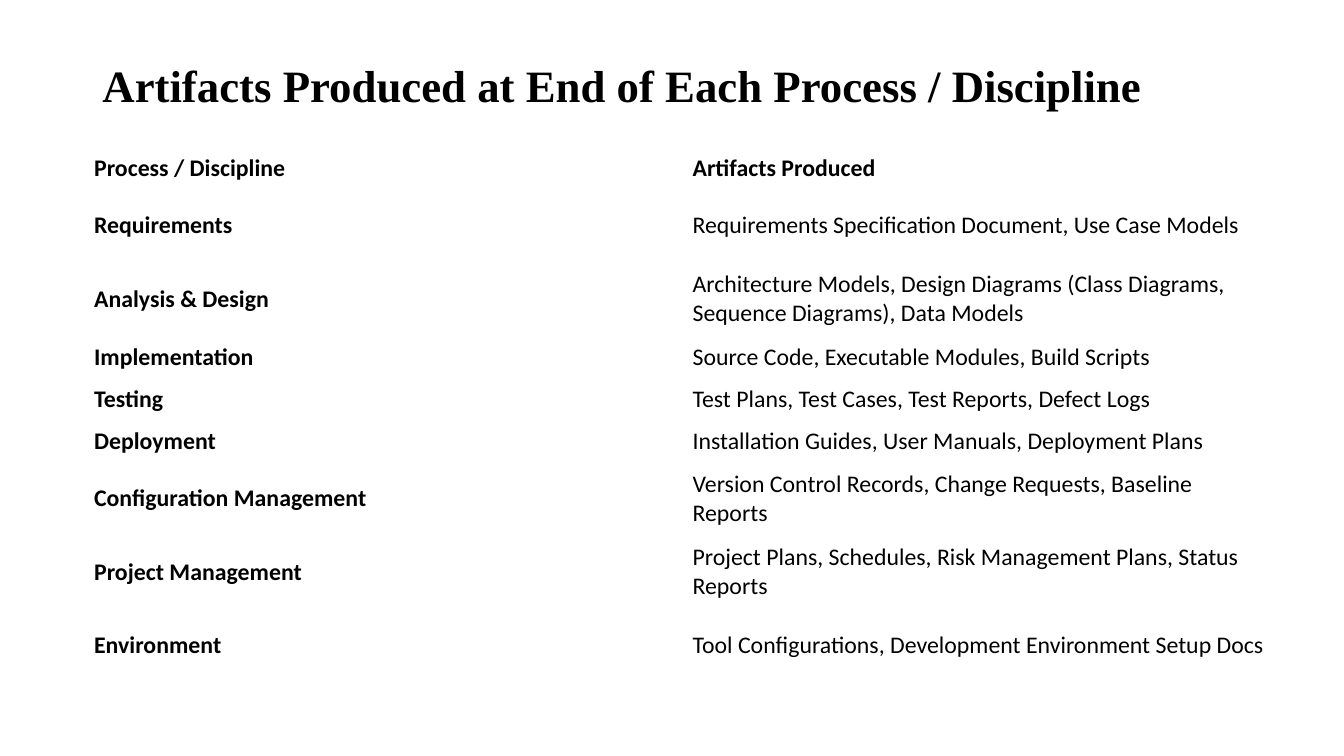
from pptx import Presentation
from pptx import util as u
from pptx.dml import color
from pptx.enum import text

PX = 9525
HUES = {"ink": "000000"}
TALL, LOW = 70, 40
ROWS = [
    (LOW, "Process / Discipline", "Artifacts Produced"),
    (TALL, "Requirements", "Requirements Specification Document, Use Case Models"),
    (TALL, "Analysis & Design", "Architecture Models, Design Diagrams (Class Diagrams, Sequence Diagrams), Data Models"),
    (LOW, "Implementation", "Source Code, Executable Modules, Build Scripts"),
    (LOW, "Testing", "Test Plans, Test Cases, Test Reports, Defect Logs"),
    (LOW, "Deployment", "Installation Guides, User Manuals, Deployment Plans"),
    (TALL, "Configuration Management", "Version Control Records, Change Requests, Baseline Reports"),
    (TALL, "Project Management", "Project Plans, Schedules, Risk Management Plans, Status Reports"),
    (TALL, "Environment", "Tool Configurations, Development Environment Setup Docs"),
]


def px(n):
    return u.Emu(n * PX)


def style(para, face, size, bold):
    for run in para.runs:
        font = run.font
        font.name, font.size, font.bold = face, u.Pt(size), bold
        font.color.rgb = color.RGBColor.from_string(HUES["ink"])


def add_title(slide, box, words):
    title = slide.shapes.title
    title.left, title.top, title.width, title.height = map(px, box)
    frame = title.text_frame
    frame.text = words
    frame.word_wrap = True
    frame.auto_size = text.MSO_AUTO_SIZE.NONE
    frame.vertical_anchor = text.MSO_ANCHOR.BOTTOM
    para = frame.paragraphs[0]
    para.alignment = text.PP_ALIGN.LEFT
    para.line_spacing = 0.9
    style(para, "Times New Roman", 32, True)


def add_grid(slide, box, rows):
    table = slide.shapes.add_table(len(rows), 2, *map(px, box)).table
    table.horz_banding = False
    for col in table.columns:
        col.width = px(box[2] // 2)
    for r, (high, *words) in enumerate(rows):
        table.rows[r].height = px(high)
        for c, word in enumerate(words):
            cell = table.cell(r, c)
            cell.fill.background()
            cell.vertical_anchor = text.MSO_ANCHOR.MIDDLE
            cell.text_frame.text = word
            style(cell.text_frame.paragraphs[0], "Calibri", 17, r == 0 or c == 0)


def main():
    deck = Presentation()
    deck.slide_width, deck.slide_height = px(1280), px(720)
    slide = deck.slides.add_slide(deck.slide_layouts[5])
    add_title(slide, (88, 48, 1048, 64), "Artifacts Produced at End of Each Process / Discipline")
    add_grid(slide, (80, 140, 1140, sum(row[0] for row in ROWS)), ROWS)
    deck.save("out.pptx")


if __name__ == "__main__":
    main()
